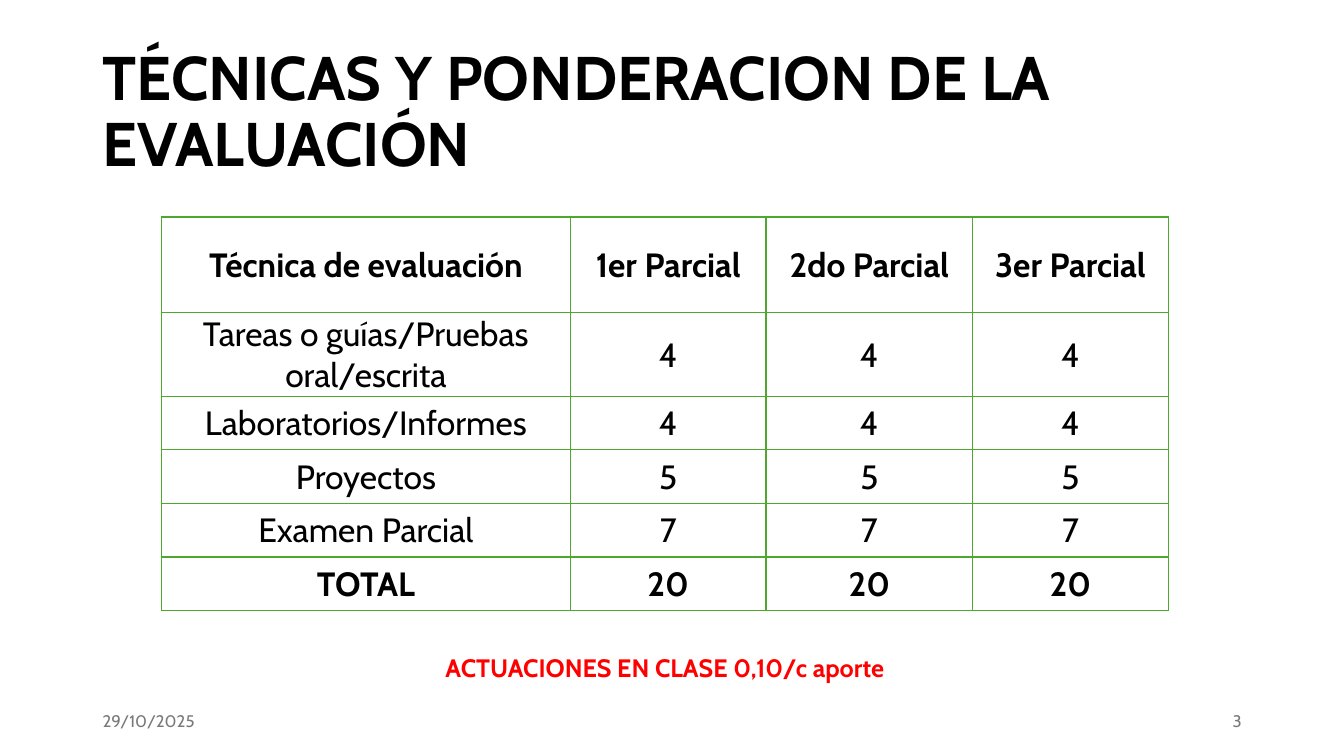
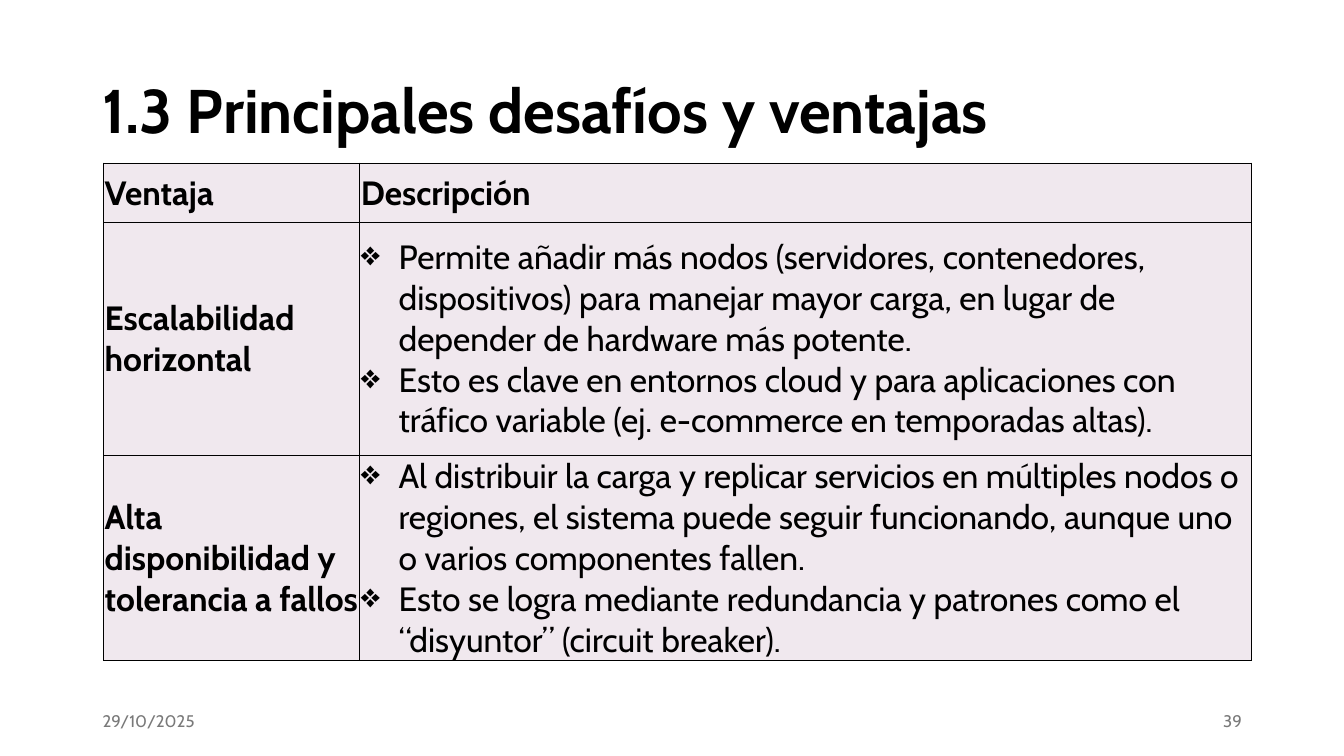
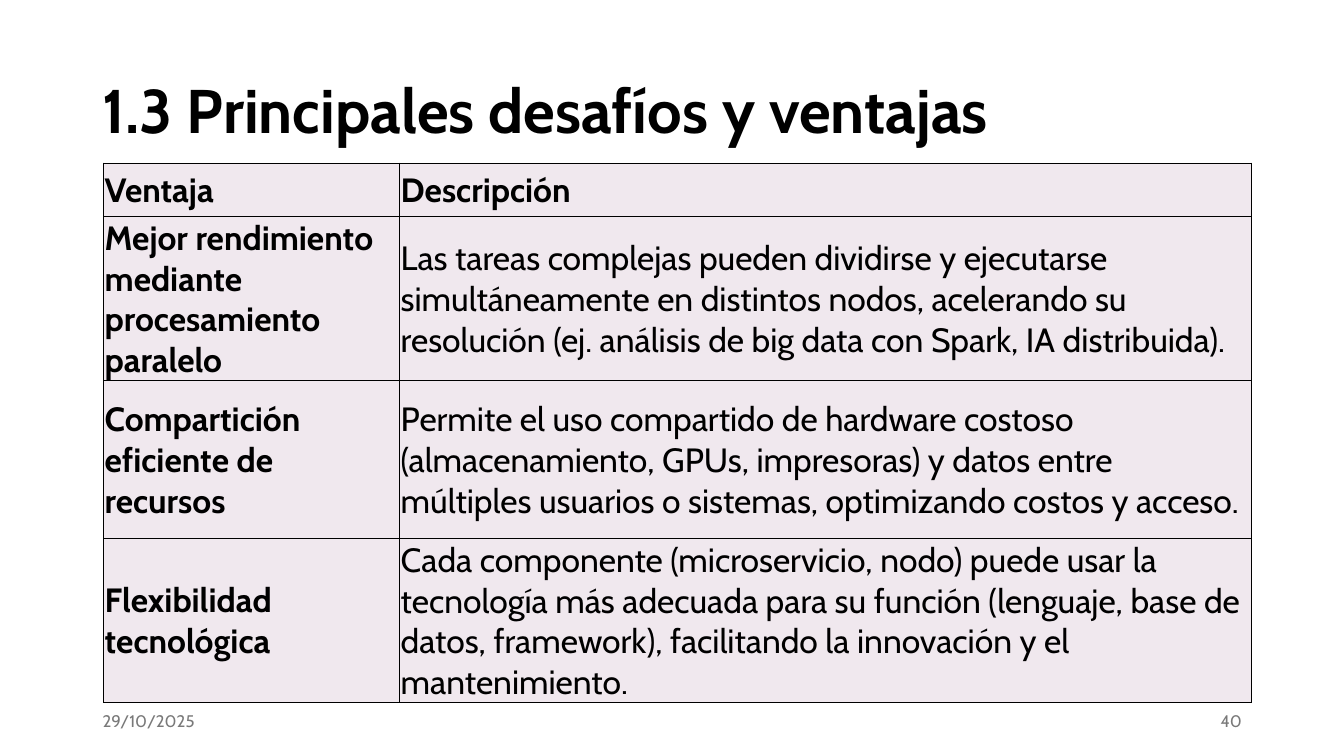
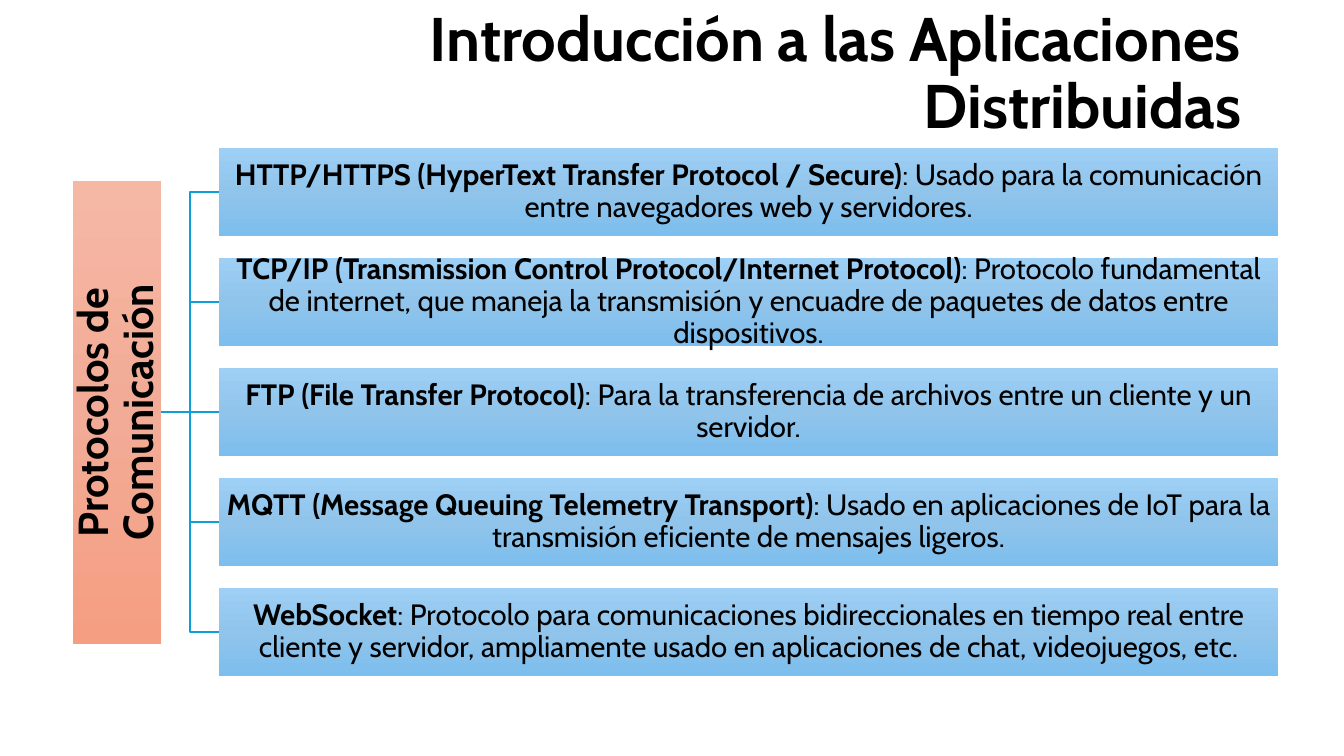
"""Build four course slides: grading table, two advantage tables and a protocol tree."""
from copy import deepcopy

from lxml.etree import SubElement
from pptx import Presentation
from pptx.dml.color import RGBColor
from pptx.enum.shapes import MSO_CONNECTOR, MSO_SHAPE
from pptx.enum.text import MSO_ANCHOR, MSO_AUTO_SIZE, PP_ALIGN
from pptx.oxml import parse_xml
from pptx.oxml.ns import nsdecls, qn
from pptx.util import Pt

FONT = "Cabin"
COLORS = {
    "text": "000000",
    "footer": "797979",
    "note": "FF0000",
    "green_border": "4EA72E",
    "black_border": "000000",
    "cell": "F0E8EE",
    "connector": "0F9ED5",
}
ROOT_GRADIENT = ["F5B8A5", "F2AB96", "F59E82"]
BOX_GRADIENT = ["9ECFF5", "90C4EB", "7CBEED"]
LEFT, CONTENT_WIDTH = 66.2, 828
FOOTER_TOP, FOOTER_WIDTH, FOOTER_HEIGHT = 500.4, 216, 28.8
BULLET_INDENT = 27


def add_run(paragraph, text, size, bold=False, color="text"):
    run = paragraph.add_run()
    run.text = text
    run.font.name = FONT
    run.font.size = Pt(size)
    run.font.bold = bold
    run.font.color.rgb = RGBColor.from_string(COLORS[color])


def add_gradient_box(slide, left, top, width, height, gradient, margin):
    shape = slide.shapes.add_shape(MSO_SHAPE.RECTANGLE, Pt(left), Pt(top), Pt(width), Pt(height))
    shape.shadow.inherit = False
    shape.line.fill.background()
    shape.fill.gradient()
    shape.fill.gradient_angle = 270
    stop_list = shape._element.spPr.find(qn("a:gradFill")).find(qn("a:gsLst"))
    stop_list.insert(1, deepcopy(stop_list[0]))
    for stop, position, color in zip(shape.fill.gradient_stops, (0, 0.5, 1), gradient):
        stop.position = position
        stop.color.rgb = RGBColor.from_string(color)
    frame = shape.text_frame
    frame.word_wrap = True
    frame.vertical_anchor = MSO_ANCHOR.MIDDLE
    frame.margin_left = frame.margin_right = Pt(margin)
    frame.margin_top = frame.margin_bottom = Pt(margin)
    frame.paragraphs[0].alignment = PP_ALIGN.CENTER
    frame.paragraphs[0].line_spacing = 0.9
    return shape


presentation = Presentation()
presentation.slide_width = Pt(960)
presentation.slide_height = Pt(540)
title_only = presentation.slide_layouts[5]

headings = [
    ("TÉCNICAS Y PONDERACION DE LA EVALUACIÓN", 28.8, PP_ALIGN.LEFT, "3"),
    ("1.3 Principales desafíos y ventajas", 28.8, PP_ALIGN.LEFT, "39"),
    ("1.3 Principales desafíos y ventajas", 28.8, PP_ALIGN.LEFT, "40"),
    ("Introducción a las Aplicaciones Distribuidas", 1.4, PP_ALIGN.RIGHT, None),
]
slides = []
for heading, top, alignment, number in headings:
    slide = presentation.slides.add_slide(title_only)
    slides.append(slide)
    title = slide.shapes.title
    title.left, title.top = Pt(LEFT), Pt(top)
    title.width, title.height = Pt(CONTENT_WIDTH), Pt(104.4)
    title.text_frame.auto_size = MSO_AUTO_SIZE.NONE
    title.text_frame.vertical_anchor = MSO_ANCHOR.MIDDLE
    paragraph = title.text_frame.paragraphs[0]
    paragraph.alignment = alignment
    paragraph.line_spacing = 0.9
    add_run(paragraph, heading, 44, bold=True)
    if number is None:
        continue
    number_left = LEFT + CONTENT_WIDTH - FOOTER_WIDTH
    for text, left, side in [
        ("29/10/2025", LEFT, PP_ALIGN.LEFT),
        (number, number_left, PP_ALIGN.RIGHT),
    ]:
        footer = slide.shapes.add_textbox(
            Pt(left), Pt(FOOTER_TOP), Pt(FOOTER_WIDTH), Pt(FOOTER_HEIGHT)
        )
        footer.text_frame.word_wrap = True
        footer.text_frame.vertical_anchor = MSO_ANCHOR.MIDDLE
        footer.text_frame.paragraphs[0].alignment = side
        add_run(footer.text_frame.paragraphs[0], text, 12, color="footer")

grading_slide, first_advantages, second_advantages, protocol_slide = slides

grading_rows = [
    ["Técnica de evaluación", "1er Parcial", "2do Parcial", "3er Parcial"],
    ["Tareas o guías/Pruebas oral/escrita"] + ["4"] * 3,
    ["Laboratorios/Informes"] + ["4"] * 3,
    ["Proyectos"] + ["5"] * 3,
    ["Examen Parcial"] + ["7"] * 3,
    ["TOTAL"] + ["20"] * 3,
]
scaling_rows = [
    ["Ventaja", "Descripción"],
    ["Escalabilidad horizontal", [
        "Permite añadir más nodos (servidores, contenedores, dispositivos) para manejar "
        "mayor carga, en lugar de depender de hardware más potente.",
        "Esto es clave en entornos cloud y para aplicaciones con tráfico variable "
        "(ej. e-commerce en temporadas altas).",
    ]],
    ["Alta disponibilidad y tolerancia a fallos", [
        "Al distribuir la carga y replicar servicios en múltiples nodos o regiones, el sistema "
        "puede seguir funcionando, aunque uno o varios componentes fallen.",
        "Esto se logra mediante redundancia y patrones como el “disyuntor” (circuit breaker).",
    ]],
]
performance_rows = [
    ["Ventaja", "Descripción"],
    ["Mejor rendimiento mediante procesamiento paralelo",
     "Las tareas complejas pueden dividirse y ejecutarse simultáneamente en distintos nodos, "
     "acelerando su resolución (ej. análisis de big data con Spark, IA distribuida)."],
    ["Compartición eficiente de recursos",
     "Permite el uso compartido de hardware costoso (almacenamiento, GPUs, impresoras) y datos "
     "entre múltiples usuarios o sistemas, optimizando costos y acceso."],
    ["Flexibilidad tecnológica",
     "Cada componente (microservicio, nodo) puede usar la tecnología más adecuada para su "
     "función (lenguaje, base de datos, framework), facilitando la innovación y el "
     "mantenimiento."],
]
tables = [
    (grading_slide, grading_rows, 115.2, 155,
     [292.3, 139.7, 147.6, 139.7], [68.5, 59.5] + [38.3] * 4),
    (first_advantages, scaling_rows, 74, 116.6, [183, 637], [42.2, 166.4, 146.4]),
    (second_advantages, performance_rows, 74, 116.6, [211.5, 608.5], [38.3, 117, 113, 117]),
]
for slide, rows, left, top, widths, heights in tables:
    is_grading = slide is grading_slide
    border = COLORS["green_border" if is_grading else "black_border"]
    table = slide.shapes.add_table(
        len(rows), len(widths), Pt(left), Pt(top), Pt(sum(widths)), Pt(sum(heights))
    ).table
    table.first_row = table.horz_banding = False
    for column, width in zip(table.columns, widths):
        column.width = Pt(width)
    for row, height in zip(table.rows, heights):
        row.height = Pt(height)
    for row_index, row_values in enumerate(rows):
        for column_index, value in enumerate(row_values):
            cell = table.cell(row_index, column_index)
            cell.vertical_anchor = MSO_ANCHOR.MIDDLE
            cell.margin_left = cell.margin_right = cell.margin_top = Pt(0.75)
            cell.margin_bottom = Pt(0)
            if is_grading:
                cell.fill.background()
                bold = row_index in (0, len(rows) - 1)
            else:
                cell.fill.solid()
                cell.fill.fore_color.rgb = RGBColor.from_string(COLORS["cell"])
                bold = row_index == 0 or column_index == 0
            properties = cell._tc.get_or_add_tcPr()
            for position, side in enumerate(("lnL", "lnR", "lnT", "lnB")):
                properties.insert(position, parse_xml(
                    f'<a:{side} {nsdecls("a")} w="{Pt(1)}"><a:solidFill>'
                    f'<a:srgbClr val="{border}"/></a:solidFill></a:{side}>'
                ))
            bulleted = isinstance(value, list)
            for index, text in enumerate(value if bulleted else [value]):
                frame = cell.text_frame
                paragraph = frame.add_paragraph() if index else frame.paragraphs[0]
                paragraph.alignment = PP_ALIGN.CENTER if is_grading else PP_ALIGN.LEFT
                if bulleted:
                    paragraph_properties = paragraph._p.get_or_add_pPr()
                    paragraph_properties.set("marL", str(Pt(BULLET_INDENT)))
                    paragraph_properties.set("indent", str(-Pt(BULLET_INDENT)))
                    SubElement(paragraph_properties, qn("a:buChar")).set("char", "❖")
                add_run(paragraph, text, 24, bold)

note = grading_slide.shapes.add_textbox(Pt(115.2), Pt(462.2), Pt(719.3), Pt(28.8))
note.text_frame.word_wrap = True
note.text_frame.auto_size = MSO_AUTO_SIZE.SHAPE_TO_FIT_TEXT
note.text_frame.paragraphs[0].alignment = PP_ALIGN.CENTER
add_run(note.text_frame.paragraphs[0], "ACTUACIONES EN CLASE 0,10/c aporte", 18, True, "note")

protocols = [
    ("HTTP/HTTPS (HyperText Transfer Protocol / Secure)",
     ": Usado para la comunicación entre navegadores web y servidores."),
    ("TCP/IP (Transmission Control Protocol/Internet Protocol)",
     ": Protocolo fundamental de internet, que maneja la transmisión y encuadre de paquetes "
     "de datos entre dispositivos."),
    ("FTP (File Transfer Protocol)",
     ": Para la transferencia de archivos entre un cliente y un servidor."),
    ("MQTT (Message Queuing Telemetry Transport)",
     ": Usado en aplicaciones de IoT para la transmisión eficiente de mensajes ligeros."),
    ("WebSocket",
     ": Protocolo para comunicaciones bidireccionales en tiempo real entre cliente y servidor, "
     "ampliamente usado en aplicaciones de chat, videojuegos, etc."),
]
BOX_TOP, BOX_HEIGHT, BOX_PITCH, ROOT_HEIGHT = 105.8, 62.9, 78.6, 330.6
middle_index = len(protocols) // 2
tree_center = BOX_TOP + middle_index * BOX_PITCH + BOX_HEIGHT / 2

root = add_gradient_box(
    protocol_slide, 52.2, tree_center - ROOT_HEIGHT / 2, BOX_HEIGHT, ROOT_HEIGHT,
    ROOT_GRADIENT, 1.5,
)
root.text_frame._txBody.bodyPr.set("vert", "vert270")
add_run(root.text_frame.paragraphs[0], "Protocolos de Comunicación", 30, bold=True)

for index, (name, description) in enumerate(protocols):
    box = add_gradient_box(
        protocol_slide, 156.3, BOX_TOP + index * BOX_PITCH, 756.7, BOX_HEIGHT, BOX_GRADIENT, 0.75
    )
    add_run(box.text_frame.paragraphs[0], name, 21, bold=True)
    add_run(box.text_frame.paragraphs[0], description, 21)
    kind = MSO_CONNECTOR.STRAIGHT if index == middle_index else MSO_CONNECTOR.ELBOW
    connector = protocol_slide.shapes.add_connector(kind, 0, 0, 0, 0)
    connector.begin_connect(root, 3)
    connector.end_connect(box, 1)
    connector.line.color.rgb = RGBColor.from_string(COLORS["connector"])
    connector.line.width = Pt(1.5)
    SubElement(connector._element.spPr, qn("a:effectLst"))

presentation.save("out.pptx")
